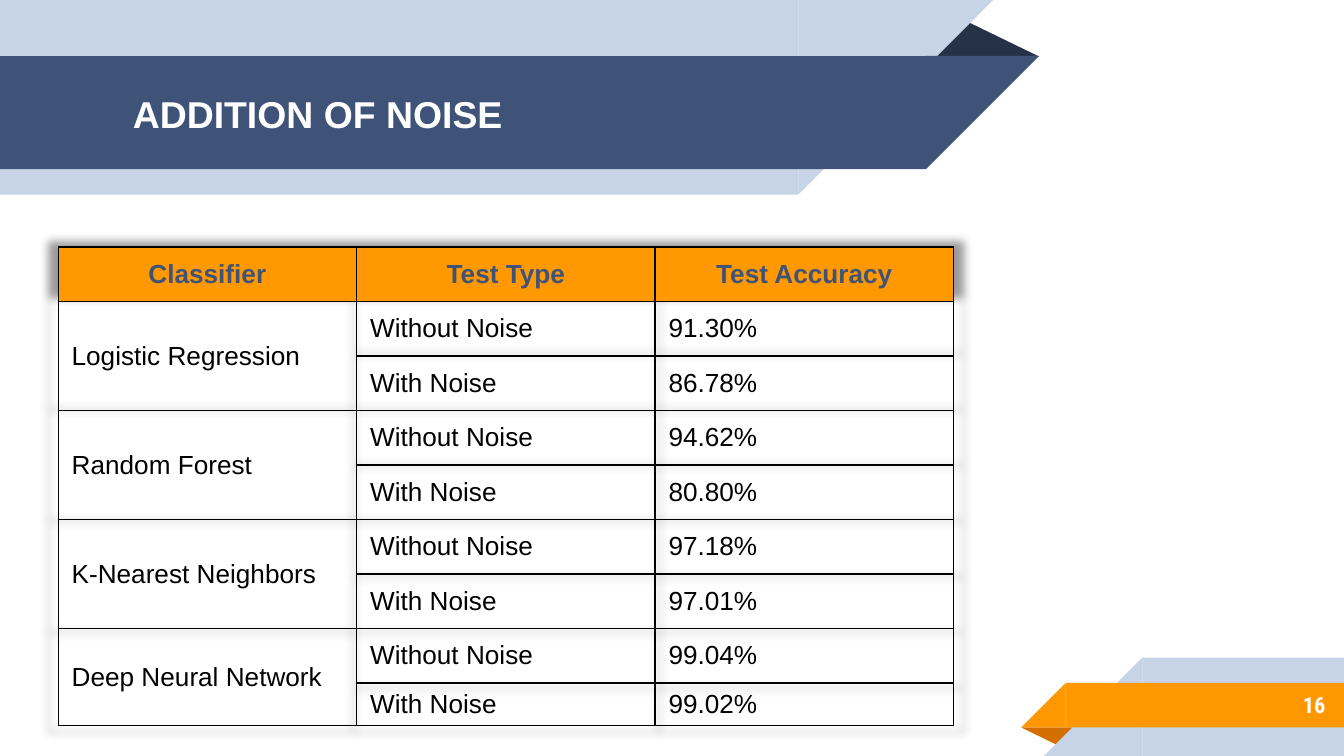
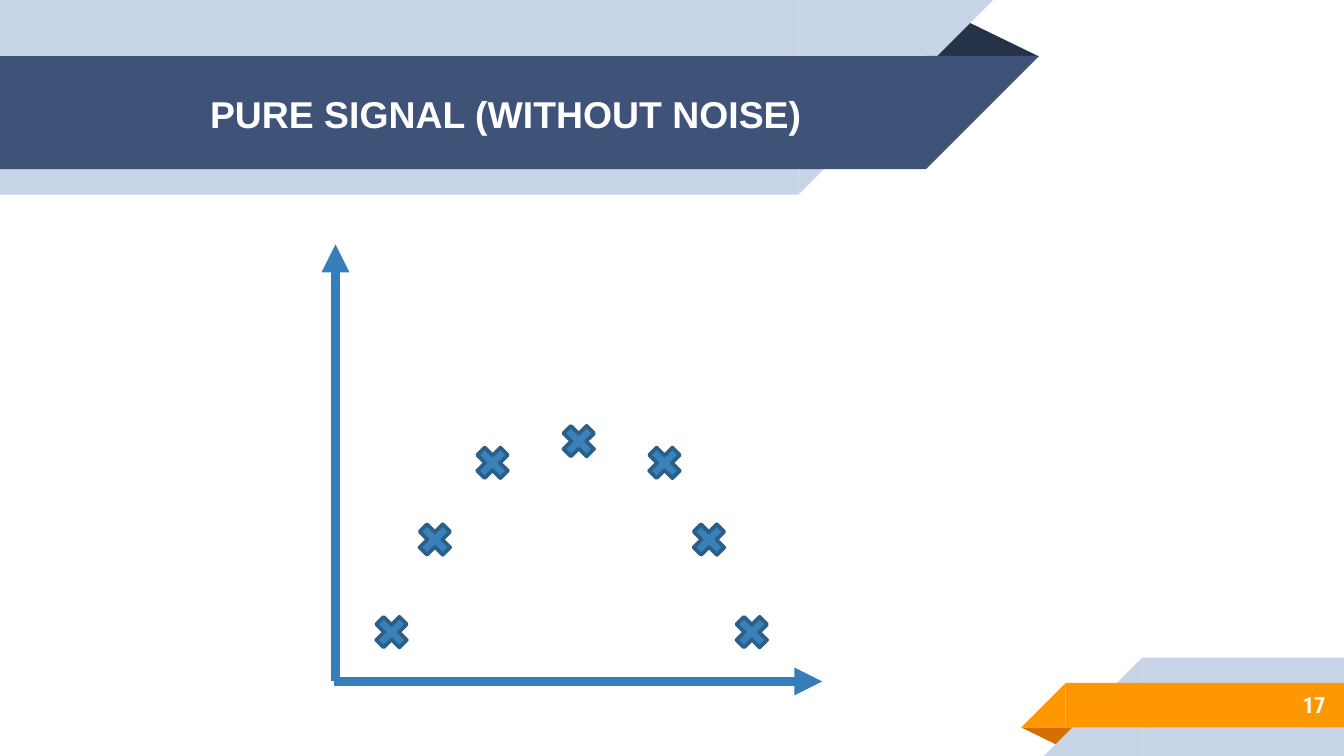
from lxml import etree
from pptx import Presentation
from pptx.dml.color import RGBColor
from pptx.enum.shapes import MSO_CONNECTOR, MSO_SHAPE
from pptx.enum.text import MSO_ANCHOR, MSO_AUTO_SIZE, PP_ALIGN
from pptx.oxml import parse_xml
from pptx.oxml.ns import nsdecls, qn
from pptx.util import Cm, Pt

RECTANGLE = MSO_SHAPE.RECTANGLE
TRIANGLE = MSO_SHAPE.ISOSCELES_TRIANGLE
RIGHT_TRIANGLE = MSO_SHAPE.RIGHT_TRIANGLE
CROSS = MSO_SHAPE.MATH_MULTIPLY
STRAIGHT = MSO_CONNECTOR.STRAIGHT
MIDDLE = MSO_ANCHOR.MIDDLE
NO_FIT = MSO_AUTO_SIZE.NONE
LEFT, CENTER, RIGHT = PP_ALIGN.LEFT, PP_ALIGN.CENTER, PP_ALIGN.RIGHT

NAVY = RGBColor(0x3F, 0x53, 0x78)
DARK_NAVY = RGBColor(0x26, 0x32, 0x48)
PALE_BLUE = RGBColor(0xC7, 0xD3, 0xE6)
ORANGE = RGBColor(0xFF, 0x98, 0x00)
DARK_ORANGE = RGBColor(0xD2, 0x6F, 0x00)
HEADER_ORANGE = RGBColor(0xFF, 0x98, 0x01)
AXIS_BLUE = RGBColor(0x36, 0x7E, 0xB9)
MARKER_FILL = RGBColor(0x3A, 0x81, 0xBA)
MARKER_LINE = RGBColor(0x2B, 0x5F, 0x8A)
WHITE = RGBColor(0xFF, 0xFF, 0xFF)
BLACK = RGBColor(0x00, 0x00, 0x00)

BODY_FONT = "Arial"
NUMBER_FONT = "Roboto Condensed"
PADDING = Cm(0.25)

ACCURACIES = [
    ("Logistic Regression", "91.30%", "86.78%"),
    ("Random Forest", "94.62%", "80.80%"),
    ("K-Nearest Neighbors", "97.18%", "97.01%"),
    ("Deep Neural Network", "99.04%", "99.02%"),
]
SIGNAL_POINTS = [
    (6.98, 11.53), (7.8, 9.78), (8.89, 8.33), (10.52, 7.92),
    (12.14, 8.33), (12.98, 9.78), (13.79, 11.53),
]


def add_plain_shape(page, kind, left, top, width, height, color, flip=None):
    shape = page.shapes.add_shape(kind, Cm(left), Cm(top), Cm(width), Cm(height))
    shape.shadow.inherit = False
    shape.fill.solid()
    shape.fill.fore_color.rgb = color
    shape.line.fill.background()
    if flip:
        shape.element.spPr.find(qn("a:xfrm")).set(flip, "1")
    return shape


def add_fold(page, left, top, width, height, color):
    fold = add_plain_shape(page, TRIANGLE, left, top, width, height, color)
    fold.adjustments[0] = 0.324
    return fold


def add_title_band(page, top, length, height, color):
    return [
        add_plain_shape(page, RECTANGLE, 0, top, length, height, color),
        add_plain_shape(page, RIGHT_TRIANGLE, length, top, height, height, color, "flipV"),
    ]


def add_footer_band(page, left, top, height, color):
    start = left + height
    return [
        add_plain_shape(page, RECTANGLE, start, top, 25.4 - start, height, color),
        add_plain_shape(page, RIGHT_TRIANGLE, left, top, height, height, color, "flipH"),
    ]


def decorate_layout(layout, page):
    for placeholder in list(layout.placeholders):
        if placeholder.placeholder_format.idx != 0:
            layout.shapes.element.remove(placeholder.element)
    shapes = [add_fold(page, 17.48, 0.36, 2.16, 0.71, DARK_NAVY)]
    shapes += add_title_band(page, 0, 15.09, 3.68, PALE_BLUE)
    shapes += add_title_band(page, 1.06, 17.5, 2.14, NAVY)
    footer_fold = add_fold(page, 19.3, 13.75, 1.09, 0.36, DARK_ORANGE)
    footer_fold.rotation = 180
    shapes.append(footer_fold)
    shapes += add_footer_band(page, 19.73, 12.43, 1.86, PALE_BLUE)
    shapes += add_footer_band(page, 19.3, 12.91, 0.84, ORANGE)
    for shape in shapes:
        layout.shapes.element.append(shape.element)


def write_text(frame, text, size, color, alignment, bold=False, font=BODY_FONT):
    para = frame.paragraphs[0]
    para.alignment = alignment
    span = para.add_run()
    span.text = text
    span.font.name = font
    span.font.size = Pt(size)
    span.font.bold = bold
    span.font.color.rgb = color


def prepare_frame(frame):
    frame.word_wrap = True
    frame.auto_size = NO_FIT
    frame.vertical_anchor = MIDDLE
    frame.margin_left = frame.margin_right = PADDING
    frame.margin_top = frame.margin_bottom = PADDING


def add_title(page, text, alignment):
    title = page.shapes.title
    title.left, title.top = Cm(2.26), Cm(1.09)
    title.width, title.height = Cm(14.6), Cm(2.13)
    prepare_frame(title.text_frame)
    write_text(title.text_frame, text, 20, WHITE, alignment, bold=True)


def add_page_number(page, number):
    box = page.shapes.add_textbox(Cm(21.16), Cm(12.88), Cm(4.14), Cm(0.89))
    prepare_frame(box.text_frame)
    write_text(box.text_frame, str(number), 12, WHITE, RIGHT, True, NUMBER_FONT)


def add_borders(cell):
    properties = cell._tc.get_or_add_tcPr()
    for side in ("lnL", "lnR", "lnT", "lnB"):
        border = etree.SubElement(properties, qn(f"a:{side}"), w=str(Pt(0.75)))
        fill = etree.SubElement(border, qn("a:solidFill"))
        etree.SubElement(fill, qn("a:srgbClr"), val=str(BLACK))


def add_table_shadow(table):
    effect = parse_xml(
        f'<a:effectLst {nsdecls("a")}>'
        '<a:outerShdw blurRad="63500" sx="102000" sy="102000" algn="ctr" rotWithShape="0">'
        '<a:srgbClr val="000000"><a:alpha val="40000"/></a:srgbClr>'
        '</a:outerShdw></a:effectLst>'
    )
    table._tbl.tblPr.insert(0, effect)


def fill_cell(cell, text, is_header):
    cell.vertical_anchor = MIDDLE
    add_borders(cell)
    if is_header:
        cell.fill.solid()
        cell.fill.fore_color.rgb = HEADER_ORANGE
    else:
        cell.fill.background()
    if text:
        color, alignment = (NAVY, CENTER) if is_header else (BLACK, LEFT)
        write_text(cell.text_frame, text, 14, color, alignment, is_header)


def add_accuracy_table(page):
    rows = [("Classifier", "Test Type", "Test Accuracy")]
    for classifier, clean, noisy in ACCURACIES:
        rows.append((classifier, "Without Noise", clean))
        rows.append(("", "With Noise", noisy))
    table = page.shapes.add_table(
        len(rows), 3, Cm(1.1), Cm(4.67), Cm(16.92), Cm(9.04)
    ).table
    table.horz_banding = False
    add_table_shadow(table)
    for column in table.columns:
        column.width = Cm(5.64)
    for row in table.rows:
        row.height = Cm(1.03)
    table.rows[len(rows) - 1].height = Cm(0.8)
    for row_index, texts in enumerate(rows):
        for column_index, text in enumerate(texts):
            fill_cell(table.cell(row_index, column_index), text, row_index == 0)
    for top in range(1, len(rows), 2):
        table.cell(top, 0).merge(table.cell(top + 1, 0))


def add_axis(page, start, end):
    axis = page.shapes.add_connector(STRAIGHT, *map(Cm, start + end))
    axis.line.color.rgb = AXIS_BLUE
    axis.line.width = Pt(5)
    etree.SubElement(axis.line._get_or_add_ln(), qn("a:tailEnd"), type="triangle")
    etree.SubElement(axis.element.spPr, qn("a:effectLst"))


def add_marker(page, left, top):
    marker = add_plain_shape(page, CROSS, left, top, 0.84, 0.84, MARKER_FILL)
    marker.line.color.rgb = MARKER_LINE
    marker.line.width = Pt(2)
    etree.SubElement(marker.line._get_or_add_ln(), qn("a:round"))


def add_signal_plot(page):
    add_axis(page, (6.32, 12.88), (15.54, 12.88))
    add_axis(page, (6.34, 12.88), (6.34, 4.62))
    for left, top in SIGNAL_POINTS:
        add_marker(page, left, top)


def main():
    deck = Presentation()
    deck.slide_width, deck.slide_height = Cm(25.4), Cm(14.29)
    layout = deck.slide_layouts.get_by_name("Title Only")

    noise_page = deck.slides.add_slide(layout)
    decorate_layout(layout, noise_page)
    add_title(noise_page, "ADDITION OF NOISE", LEFT)
    add_page_number(noise_page, 16)
    add_accuracy_table(noise_page)

    signal_page = deck.slides.add_slide(layout)
    add_title(signal_page, "PURE SIGNAL (WITHOUT NOISE)", CENTER)
    add_page_number(signal_page, 17)
    add_signal_plot(signal_page)

    deck.save("out.pptx")


if __name__ == "__main__":
    main()
